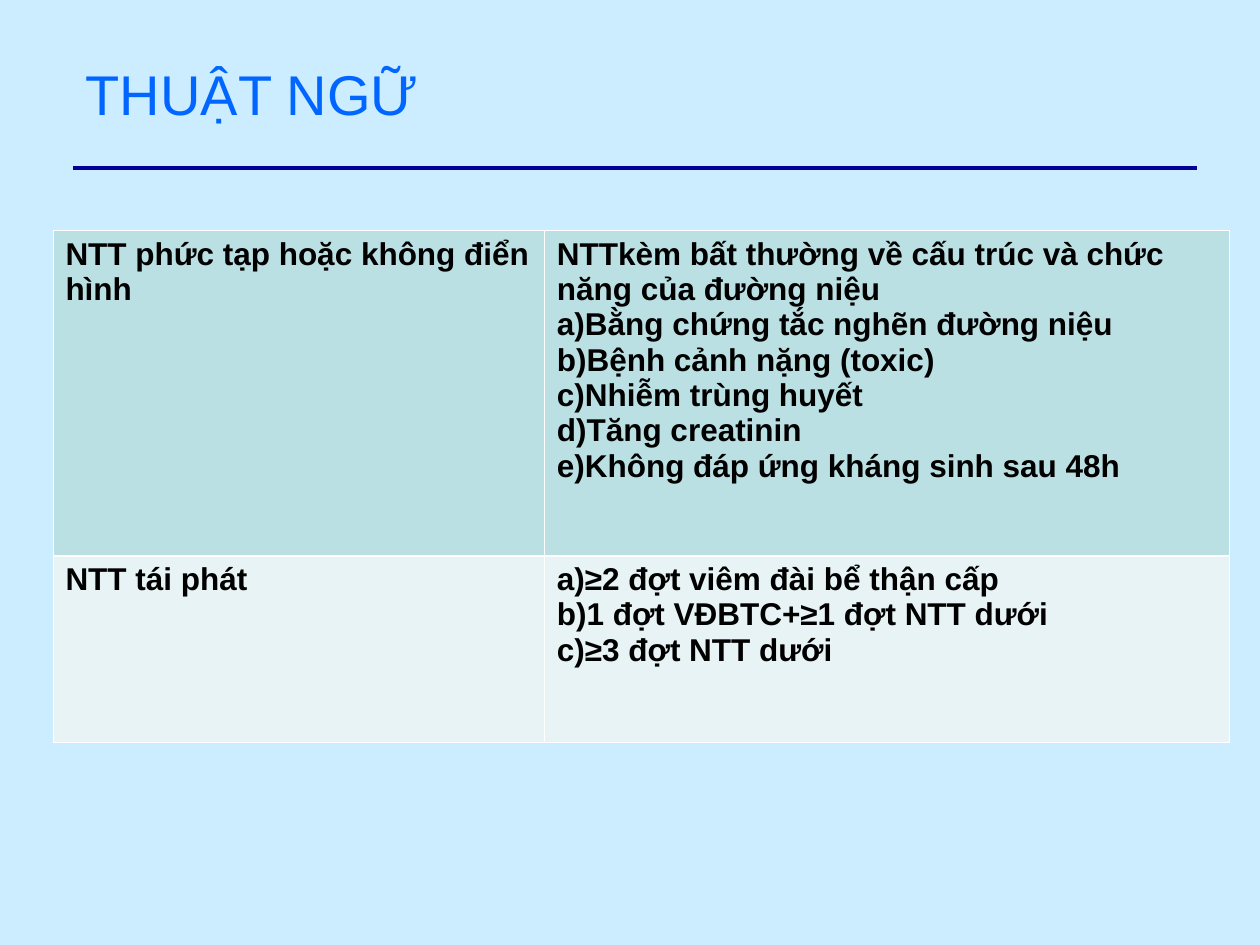
import pptx
import pptx.util
import pptx.dml.color
import pptx.enum.shapes
import pptx.enum.text
import pptx.oxml
import pptx.oxml.ns
from pptx.util import Inches

COLORS = {
    "background": "CCECFF",
    "title": "0066FF",
    "rule": "000099",
    "text": "000000",
    "border": "FFFFFF",
    "complex": "BBE0E3",
    "recurrent": "E7F3F4",
}
FONT = "Arial"
THIN, THICK = 0.45, 1.47

# Each row: fill colour, term, lines of its definition
TERMS = [
    ("complex", "NTT phức tạp hoặc không điển hình", [
        "NTTkèm bất thường về cấu trúc và chức năng của đường niệu",
        "a)Bằng chứng tắc nghẽn đường niệu",
        "b)Bệnh cảnh nặng (toxic)",
        "c)Nhiễm trùng huyết",
        "d)Tăng creatinin",
        "e)Không đáp ứng kháng sinh sau 48h",
    ]),
    ("recurrent", "NTT tái phát", [
        "a)≥2 đợt viêm đài bể thận cấp",
        "b)1 đợt VĐBTC+≥1 đợt NTT dưới",
        "c)≥3 đợt NTT dưới",
    ]),
]


def rgb(name):
    return pptx.dml.color.RGBColor.from_string(COLORS[name])


def add_run(paragraph, text, size, color, bold=False):
    run = paragraph.add_run()
    run.text = text
    run.font.name = FONT
    run.font.size = pptx.util.Pt(size)
    run.font.bold = bold
    run.font.color.rgb = rgb(color)


def set_borders(cell, widths):
    """Draw the cell's borders; widths maps L, R, T, B (in that order) to points."""
    properties = cell._tc.get_or_add_tcPr()
    for position, (side, width) in enumerate(widths.items()):
        border = pptx.oxml.parse_xml(
            f'<a:ln{side} {pptx.oxml.ns.nsdecls("a")} w="{pptx.util.Pt(width)}">'
            f'<a:solidFill><a:srgbClr val="{COLORS["border"]}"/></a:solidFill>'
            f'</a:ln{side}>')
        properties.insert(position, border)


def place_title(slide, left, top, width, height):
    title = slide.shapes.title
    title.left, title.top, title.width, title.height = left, top, width, height
    frame = title.text_frame
    frame.auto_size = pptx.enum.text.MSO_AUTO_SIZE.NONE
    frame.vertical_anchor = pptx.enum.text.MSO_ANCHOR.TOP
    heading = frame.paragraphs[0]
    heading.alignment = pptx.enum.text.PP_ALIGN.LEFT
    add_run(heading, "THUẬT NGỮ", 32, "title")


def add_rule(slide, left, top, width):
    rule = slide.shapes.add_connector(
        pptx.enum.shapes.MSO_CONNECTOR.STRAIGHT, left, top, left + width, top)
    rule.line.color.rgb = rgb("rule")
    rule.line.width = pptx.util.Pt(2.25)
    rule._element.spPr.append(pptx.oxml.parse_xml(
        f'<a:effectLst {pptx.oxml.ns.nsdecls("a")}/>'))


def add_terms_table(slide, left, top, width, height):
    term_width, first_height = Inches(3.9), Inches(2.58)
    table = slide.shapes.add_table(len(TERMS), 2, left, top, width, height).table
    table.first_row = table.horz_banding = False
    table.columns[0].width = term_width
    table.columns[1].width = width - term_width
    table.rows[0].height = first_height
    table.rows[1].height = height - first_height

    for row, (fill, term, definition) in enumerate(TERMS):
        # The border between the two rows is the heavy one
        widths = {"L": THIN, "R": THIN,
                  "T": THICK if row else THIN, "B": THIN if row else THICK}
        for column, lines in enumerate(([term], definition)):
            cell = table.cell(row, column)
            cell.fill.solid()
            cell.fill.fore_color.rgb = rgb(fill)
            set_borders(cell, widths)
            frame = cell.text_frame
            for index, line in enumerate(lines):
                paragraph = frame.add_paragraph() if index else frame.paragraphs[0]
                add_run(paragraph, line, 18, "text", bold=True)


def main():
    deck = pptx.Presentation()
    deck.slide_width, deck.slide_height = Inches(10), Inches(7.5)
    slide = deck.slides.add_slide(deck.slide_layouts[5])
    slide.background.fill.solid()
    slide.background.fill.fore_color.rgb = rgb("background")

    # Heading and the rule under it
    place_title(slide, Inches(0.58), Inches(0.42), Inches(4.08), Inches(0.64))
    add_rule(slide, Inches(0.58), Inches(1.33), Inches(8.92))

    # Terms and definitions
    add_terms_table(slide, Inches(0.42), Inches(1.83), Inches(9.34), Inches(4.06))

    deck.save("out.pptx")


if __name__ == "__main__":
    main()
